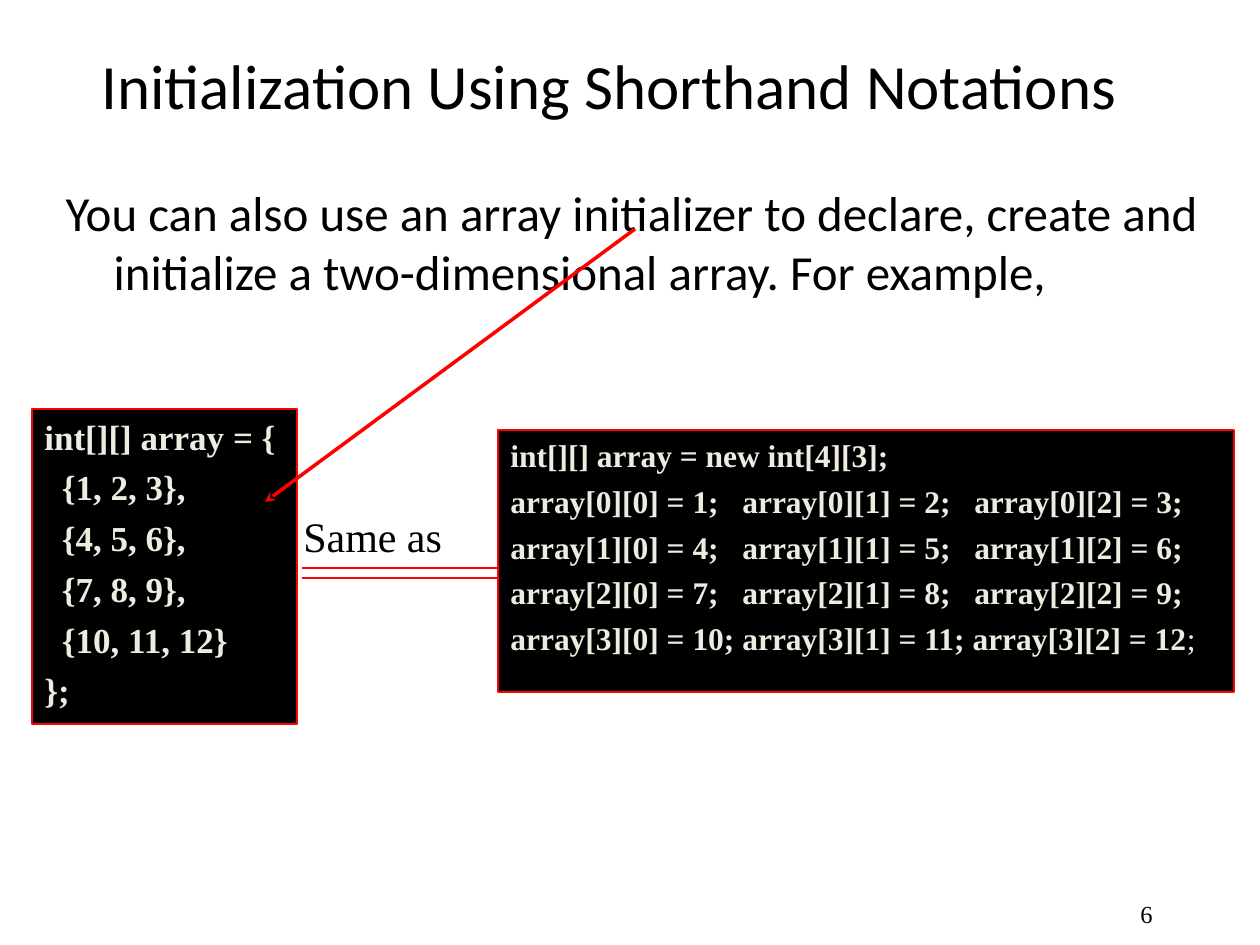
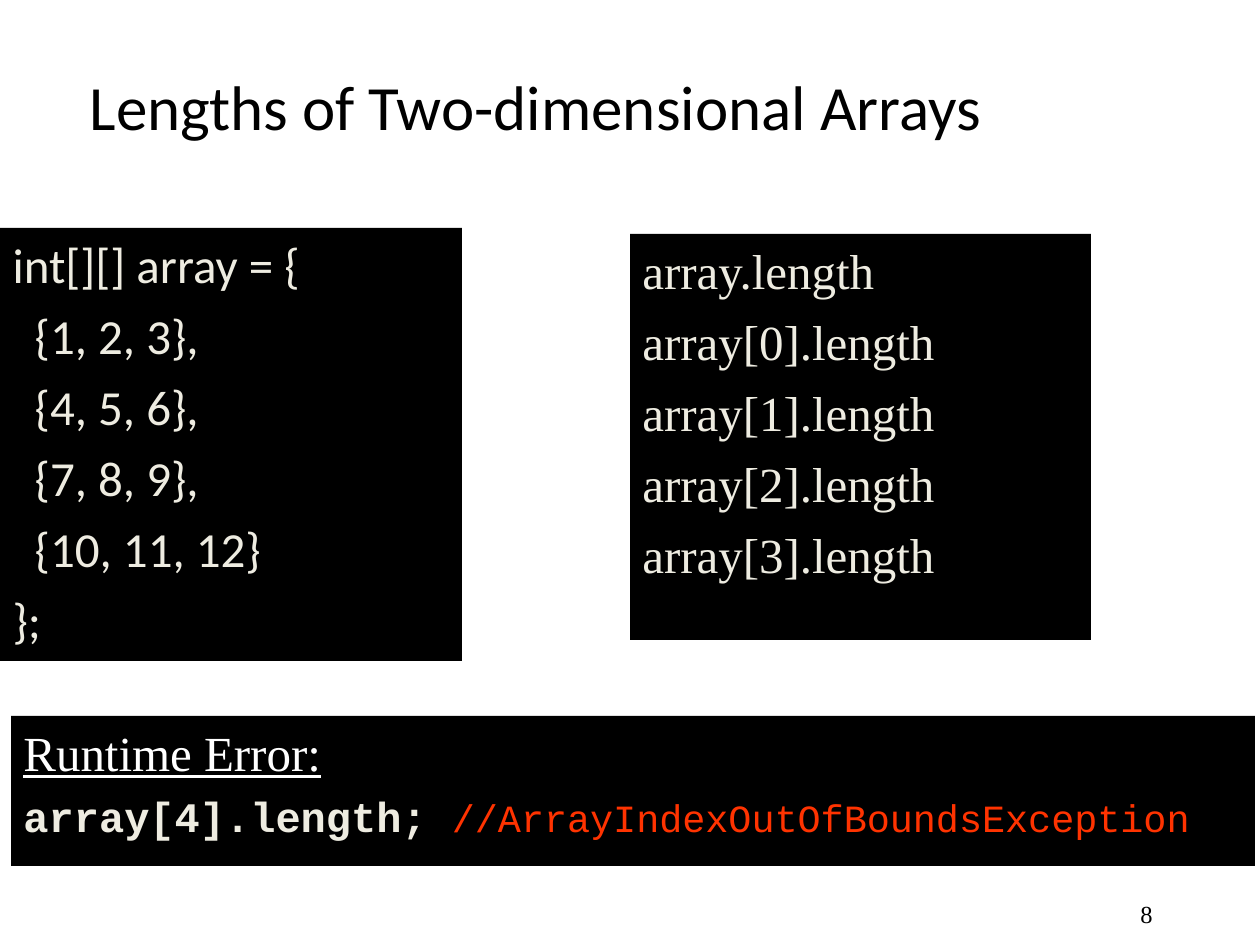
from dataclasses import dataclass

from lxml import etree
from pptx import Presentation
from pptx.dml.color import RGBColor
from pptx.enum import shapes, text
from pptx.oxml import ns
from pptx.util import Emu, Pt

PX = 914400 // 126


@dataclass(frozen=True)
class Theme:
    ink: str = "000000"
    panel: str = "000000"
    code: str = "EEECE1"
    heading: str = "FFFFFF"
    accent: str = "FF0000"
    error: str = "FF3300"
    sans: str = "Calibri"
    serif: str = "Times New Roman"
    mono: str = "Courier New"
    title_size: int = 36
    body_size: int = 28
    label_size: int = 24
    error_size: int = 22
    literal_size: int = 20
    assignment_size: int = 18
    number_size: int = 14
    hanging: int = 48


THEME = Theme()

# Content: a paragraph is a string or a list of (text, format) runs
ARRAY_LITERAL = [
    "int[][] array = {",
    "  {1, 2, 3},",
    "  {4, 5, 6},",
    "  {7, 8, 9},",
    "  {10, 11, 12}",
    "};",
]
SHORTHAND = {
    "title": "Initialization Using Shorthand Notations",
    "intro": ["You can also use an array initializer to declare, create and "
              "initialize a two-dimensional array. For example,"],
    "assignments": [
        "int[][] array = new int[4][3];",
        "array[0][0] = 1;   array[0][1] = 2;   array[0][2] = 3;",
        "array[1][0] = 4;   array[1][1] = 5;   array[1][2] = 6;",
        "array[2][0] = 7;   array[2][1] = 8;   array[2][2] = 9;",
        [("array[3][0] = 10; array[3][1] = 11; array[3][2] = 12", {}),
         (";", {"bold": False})],
    ],
    "same": ["Same as"],
    "number": "6",
}
LENGTHS = {
    "title": "Lengths of Two-dimensional Arrays",
    "lengths": ["array.length"] + [f"array[{row}].length" for row in range(4)],
    "error_heading": "Runtime Error:",
    "error": [
        ("array[4].length; ", {"bold": True}),
        ("//ArrayIndexOutOfBoundsException",
         {"size": THEME.error_size, "color": THEME.error}),
    ],
    "number": "8",
}


def px(*lengths):
    return [Emu(length * PX) for length in lengths]


def place(shape, box):
    shape.left, shape.top, shape.width, shape.height = px(*box)


def style_run(run, font=THEME.serif, size=THEME.body_size, color=THEME.ink,
              bold=False, underline=False):
    run.font.name, run.font.size = font, Pt(size)
    run.font.color.rgb = RGBColor.from_string(color)
    run.font.bold, run.font.underline = bold, underline


def write(shape, paragraphs, before=0, hanging=THEME.hanging,
          align=text.PP_ALIGN.LEFT, anchor=text.MSO_ANCHOR.TOP,
          append=False, **run_format):
    """Put formatted paragraphs into a shape."""
    frame = shape.text_frame
    frame.word_wrap = True
    frame.auto_size = text.MSO_AUTO_SIZE.NONE
    frame.vertical_anchor = anchor
    for index, content in enumerate(paragraphs):
        paragraph = (frame.add_paragraph() if append or index
                     else frame.paragraphs[0])
        paragraph.alignment = align
        paragraph.space_before = Pt(before)
        properties = paragraph._p.get_or_add_pPr()
        properties.set("marL", str(hanging * PX))
        properties.set("indent", str(-hanging * PX))
        etree.SubElement(properties, ns.qn("a:buNone"))
        runs = [(content, {})] if isinstance(content, str) else content
        for words, changes in runs:
            run = paragraph.add_run()
            run.text = words
            style_run(run, **{**run_format, **changes})


def fill_panel(shape):
    shape.fill.solid()
    shape.fill.fore_color.rgb = RGBColor.from_string(THEME.panel)


def add_panel(slide, box, paragraphs, outlined=False, **text_format):
    panel = slide.shapes.add_shape(shapes.MSO_SHAPE.RECTANGLE, *px(*box))
    panel.shadow.inherit = False
    fill_panel(panel)
    if outlined:
        panel.line.color.rgb = RGBColor.from_string(THEME.accent)
        panel.line.width = Pt(0.75)
    else:
        panel.line.fill.background()
    write(panel, paragraphs, **{"color": THEME.code, **text_format})
    return panel


def add_text(slide, box, paragraphs, **text_format):
    write(slide.shapes.add_textbox(*px(*box)), paragraphs, **text_format)


def add_line(slide, start, end, width=1, arrow=False):
    line = slide.shapes.add_connector(
        shapes.MSO_CONNECTOR.STRAIGHT, *px(*start, *end))
    line.line.color.rgb = RGBColor.from_string(THEME.accent)
    line.line.width = Pt(width)
    if arrow:
        etree.SubElement(line.line._get_or_add_ln(), ns.qn("a:tailEnd"),
                         type="stealth")
    etree.SubElement(line._element.spPr, ns.qn("a:effectLst"))


def start_slide(deck, content, title_box):
    """Add a slide with its number and title; return it with its body."""
    slide = deck.slides.add_slide(deck.slide_layouts[1])
    add_text(slide, (903, 882, 262, 63), [content["number"]], hanging=0,
             size=THEME.number_size, align=text.PP_ALIGN.RIGHT,
             anchor=text.MSO_ANCHOR.MIDDLE)
    title, body = slide.placeholders
    place(title, title_box)
    write(title, [content["title"]], hanging=0, font=THEME.sans,
          size=THEME.title_size, align=text.PP_ALIGN.CENTER,
          anchor=text.MSO_ANCHOR.MIDDLE)
    return slide, body


def build_shorthand(deck):
    slide, intro = start_slide(deck, SHORTHAND, (0, 32, 1218, 105))
    place(intro, (53, 176, 1207, 158))
    write(intro, SHORTHAND["intro"], before=7, font=THEME.sans)

    # Two equivalent pieces of code
    add_panel(slide, (498, 430, 736, 262), SHORTHAND["assignments"],
              outlined=True, before=4.5, size=THEME.assignment_size, bold=True)
    add_panel(slide, (32, 409, 265, 315), ARRAY_LITERAL,
              outlined=True, before=5, size=THEME.literal_size, bold=True)

    # Equals sign between them, and the arrow from the intro
    add_text(slide, (291, 504, 189, 53), SHORTHAND["same"], before=6,
             size=THEME.label_size)
    for y in (568, 578):
        add_line(slide, (302, y), (498, y))
    add_line(slide, (635, 229), (265, 502), width=2, arrow=True)


def build_lengths(deck):
    slide, literal = start_slide(deck, LENGTHS, (0, 53, 1071, 105))
    place(literal, (0, 228, 462, 433))
    fill_panel(literal)
    write(literal, ARRAY_LITERAL, before=7, font=THEME.sans, color=THEME.code)

    add_panel(slide, (630, 234, 461, 406), LENGTHS["lengths"], before=7)

    # Out-of-range access
    error = add_panel(slide, (11, 716, 1244, 150), [LENGTHS["error_heading"]],
                      before=7, color=THEME.heading, underline=True)
    write(error, [LENGTHS["error"]], append=True, before=5.5, font=THEME.mono,
          size=THEME.label_size, color=THEME.code)


def main():
    deck = Presentation()
    deck.slide_width, deck.slide_height = px(1260, 945)
    build_shorthand(deck)
    build_lengths(deck)
    deck.save("out.pptx")


if __name__ == "__main__":
    main()
